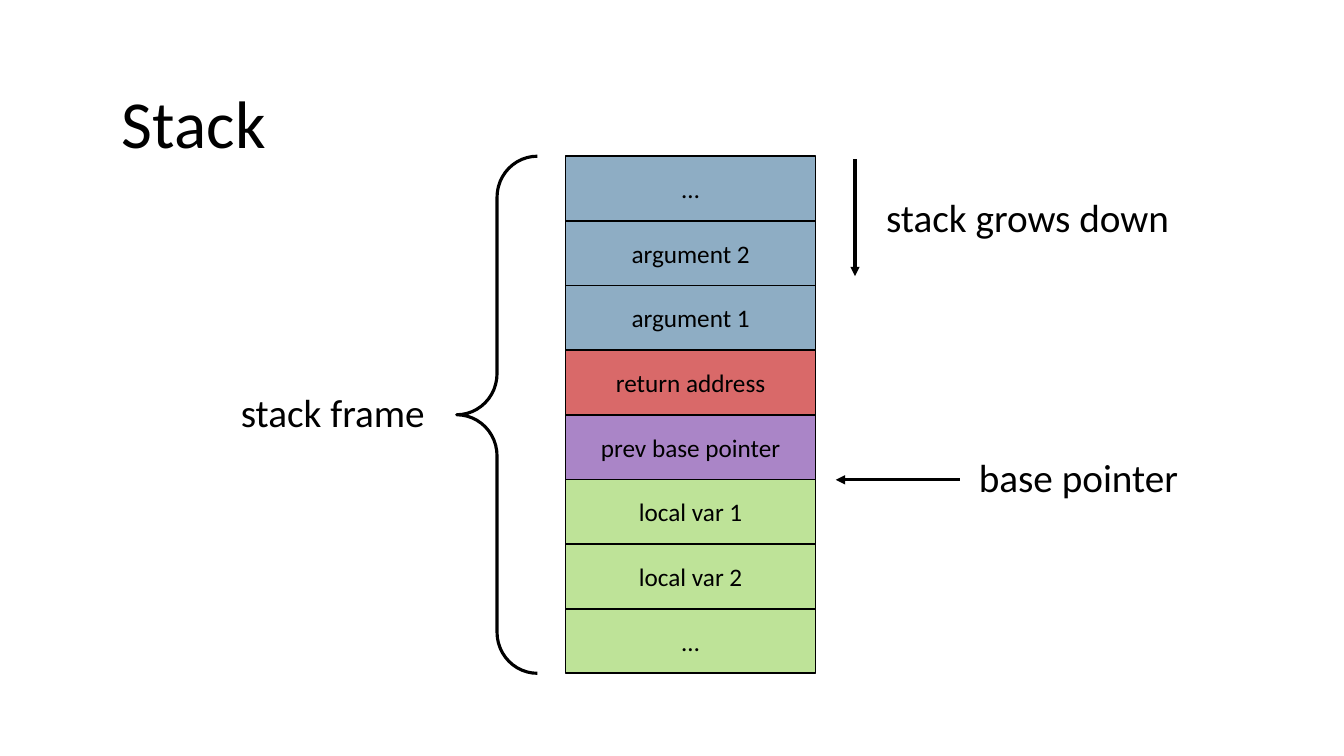
from dataclasses import dataclass

from lxml.etree import SubElement
from pptx import Presentation
from pptx.dml.color import RGBColor
from pptx.enum.shapes import MSO_CONNECTOR, MSO_SHAPE
from pptx.enum.text import MSO_ANCHOR, MSO_AUTO_SIZE, PP_ALIGN
from pptx.oxml.ns import qn
from pptx.util import Pt

PX = 9144  # EMU per px, 100 px to the inch


@dataclass(frozen=True)
class Theme:
    font: str = "Calibri"
    ink: str = "000000"
    argument: str = "40749B"
    return_address: str = "C00000"
    base_pointer: str = "7030A0"
    local: str = "92D050"
    opacity: int = 59000
    title_size: int = 48
    label_size: int = 28
    cell_size: int = 18
    cell_line: float = 1.25
    mark_line: float = 2.25


theme = Theme()
ink = RGBColor.from_string(theme.ink)


def write(shape, text, size=theme.label_size, align=PP_ALIGN.LEFT,
          anchor=MSO_ANCHOR.TOP, auto_size=MSO_AUTO_SIZE.SHAPE_TO_FIT_TEXT):
    frame = shape.text_frame
    frame.word_wrap = True
    frame.auto_size = auto_size
    frame.vertical_anchor = anchor
    paragraph = frame.paragraphs[0]
    paragraph.alignment = align
    run = paragraph.add_run()
    run.text = text
    run.font.name = theme.font
    run.font.size = Pt(size)
    run.font.color.rgb = ink


def box(left, top, width, height):
    """Turn px lengths into EMU."""
    return [round(length * PX) for length in (left, top, width, height)]


presentation = Presentation()
presentation.slide_width = 1333 * PX
presentation.slide_height = 750 * PX
slide = presentation.slides.add_slide(presentation.slide_layouts[5])

title = slide.shapes.title
title.left, title.top, title.width, title.height = box(111, 76, 1109, 91)
write(title, "Stack", size=theme.title_size)

# Stack cells, from high to low addresses
cells = [
    ("…", theme.argument),
    ("argument 2", theme.argument),
    ("argument 1", theme.argument),
    ("return address", theme.return_address),
    ("prev base pointer", theme.base_pointer),
    ("local var 1", theme.local),
    ("local var 2", theme.local),
    ("…", theme.local),
]
stack_top, stack_height = 155, 513
cell_height = stack_height / len(cells)
stack = slide.shapes.add_group_shape()
for row, (text, color) in enumerate(cells):
    cell = stack.shapes.add_shape(
        MSO_SHAPE.RECTANGLE,
        *box(561, stack_top + row * cell_height, 248, cell_height))
    cell.shadow.inherit = False
    cell.fill.solid()
    cell.fill.fore_color.rgb = RGBColor.from_string(color)
    color_element = cell._element.spPr.find(qn("a:solidFill"))[0]
    SubElement(color_element, qn("a:alpha"), val=str(theme.opacity))
    cell.line.color.rgb = ink
    cell.line.width = Pt(theme.cell_line)
    write(cell, text, size=theme.cell_size, align=PP_ALIGN.CENTER,
          anchor=MSO_ANCHOR.MIDDLE, auto_size=MSO_AUTO_SIZE.NONE)

brace = slide.shapes.add_shape(
    MSO_SHAPE.LEFT_BRACE, *box(453, stack_top, 80, stack_height))
brace.shadow.inherit = False
brace.adjustments[0] = 0.51
brace.adjustments[1] = 0.5
brace.fill.background()
brace.line.color.rgb = ink
brace.line.width = Pt(theme.mark_line)

# Arrows: base pointer, direction of growth
for ends in [(952, 476, 829, 476), (848, 158, 848, 274)]:
    arrow = slide.shapes.add_connector(MSO_CONNECTOR.STRAIGHT, *box(*ends))
    arrow.line.color.rgb = ink
    arrow.line.width = Pt(theme.mark_line)
    SubElement(arrow.line._get_or_add_ln(), qn("a:tailEnd"), type="triangle")
    SubElement(arrow._element.spPr, qn("a:effectLst"))

for text, left, top, width in [
    ("base pointer", 961, 445, 292),
    ("stack frame", 229, 380, 245),
    ("stack grows down", 869, 187, 325),
]:
    label = slide.shapes.add_textbox(*box(left, top, width, 57))
    write(label, text)

presentation.save("out.pptx")
